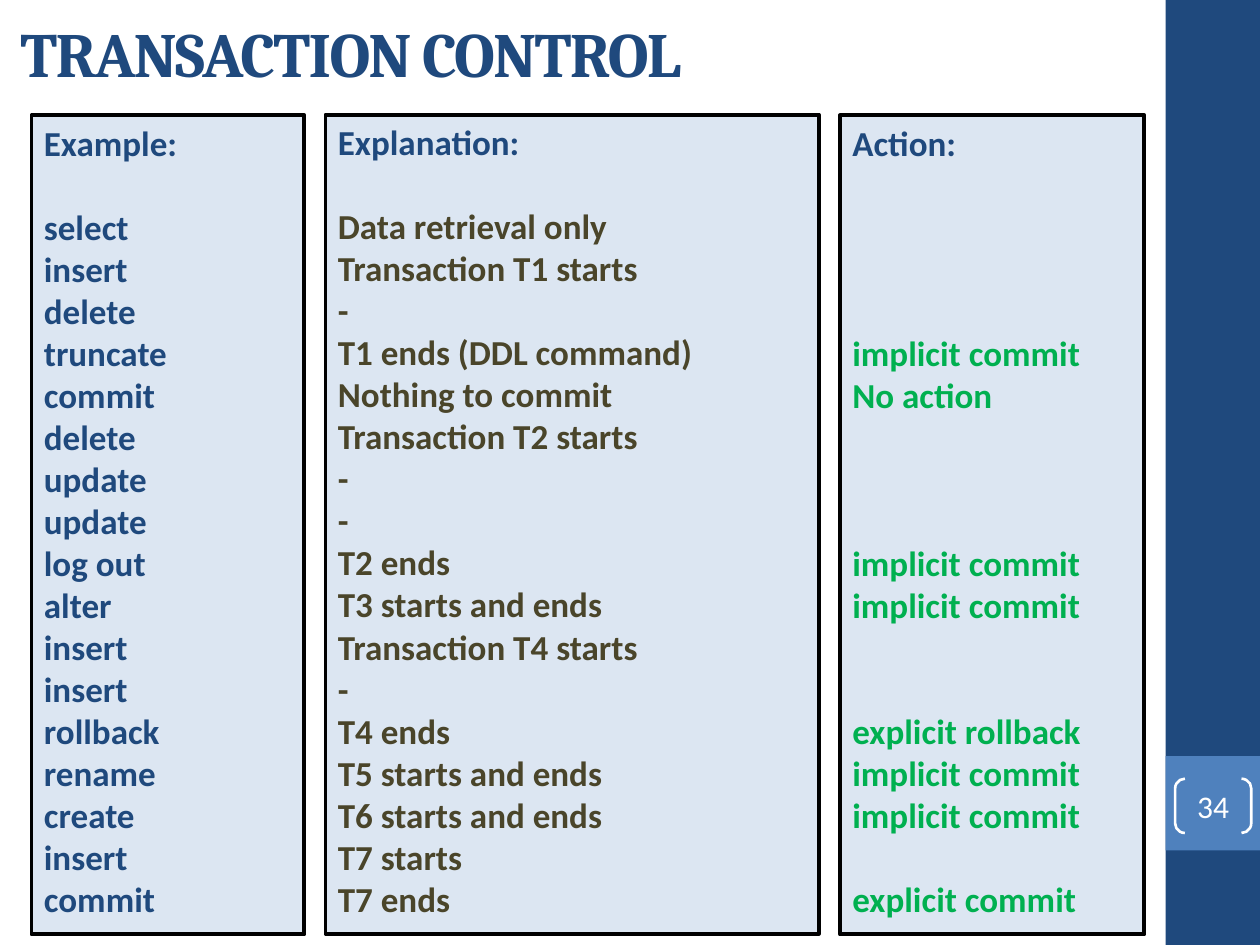
from typing import NamedTuple

from pptx import Presentation
from pptx.dml.color import RGBColor
from pptx.enum.shapes import MSO_SHAPE
from pptx.enum.text import MSO_ANCHOR, MSO_AUTO_SIZE, PP_ALIGN
from pptx.util import Pt

RECTANGLE = MSO_SHAPE.RECTANGLE
BRACKETS = MSO_SHAPE.DOUBLE_BRACKET
LEFT, CENTER = PP_ALIGN.LEFT, PP_ALIGN.CENTER
TOP, MIDDLE = MSO_ANCHOR.TOP, MSO_ANCHOR.MIDDLE
FIXED_SIZE = MSO_AUTO_SIZE.NONE

NAVY = RGBColor(0x1F, 0x49, 0x7D)
BLUE = RGBColor(0x4F, 0x81, 0xBD)
PALE_BLUE = RGBColor(0xDC, 0xE6, 0xF2)
OLIVE = RGBColor(0x4A, 0x45, 0x2A)
GREEN = RGBColor(0x00, 0xB0, 0x50)
BLACK = RGBColor(0, 0, 0)
WHITE = RGBColor(0xFF, 0xFF, 0xFF)

ROW_PITCH = 24  # points from one row to the next


class Frame(NamedTuple):
    left: float
    top: float
    width: float
    height: float


class Step(NamedTuple):
    command: str
    explanation: str
    action: str = ""


class Column(NamedTuple):
    heading: str
    entries: list[str]
    color: RGBColor
    frame: Frame


STEPS = [
    Step("select", "Data retrieval only"),
    Step("insert", "Transaction T1 starts"),
    Step("delete", "-"),
    Step("truncate", "T1 ends (DDL command)", "implicit commit"),
    Step("commit", "Nothing to commit", "No action"),
    Step("delete", "Transaction T2 starts"),
    Step("update", "-"),
    Step("update", "-"),
    Step("log out", "T2 ends", "implicit commit"),
    Step("alter", "T3 starts and ends", "implicit commit"),
    Step("insert", "Transaction T4 starts"),
    Step("insert", "-"),
    Step("rollback", "T4 ends", "explicit rollback"),
    Step("rename", "T5 starts and ends", "implicit commit"),
    Step("create", "T6 starts and ends", "implicit commit"),
    Step("insert", "T7 starts"),
    Step("commit", "T7 ends", "explicit commit"),
]

COLUMNS = [
    Column("Example:", [step.command for step in STEPS], NAVY,
           Frame(18, 66, 156, 468)),
    Column("Explanation:", [step.explanation for step in STEPS], OLIVE,
           Frame(186, 65.5, 282, 468)),
    Column("Action:", [step.action for step in STEPS], GREEN,
           Frame(480, 66, 174, 468)),
]


def add_box(page, kind, frame: Frame, fill=None, line=None, weight=0.0):
    box = page.shapes.add_shape(kind, *map(Pt, frame))
    box.shadow.inherit = False
    if fill is None:
        box.fill.background()
    else:
        box.fill.solid()
        box.fill.fore_color.rgb = fill
    if line is None:
        box.line.fill.background()
    else:
        box.line.color.rgb = line
        box.line.width = Pt(weight)
    return box


def add_span(para, text: str, size: float, color: RGBColor,
             bold: bool = False, font: str = "Calibri"):
    span = para.add_run()
    span.text = text
    span.font.name = font
    span.font.size = Pt(size)
    span.font.bold = bold
    span.font.color.rgb = color
    return span


def add_title(page, text: str) -> None:
    title = page.shapes.title
    title.left, title.top, title.width, title.height = map(
        Pt, Frame(4.5, 6, 644.5, 48))
    frame = title.text_frame
    frame.auto_size = FIXED_SIZE
    frame.vertical_anchor = MIDDLE
    para = frame.paragraphs[0]
    para.alignment = LEFT
    span = add_span(para, text, 36, NAVY, True, "Cambria")
    span._r.get_or_add_rPr().set("spc", "-100")  # tighter letters


def add_column(page, column: Column) -> None:
    box = add_box(page, RECTANGLE, column.frame, PALE_BLUE, BLACK, 2.25)
    frame = box.text_frame
    frame.word_wrap = True
    frame.vertical_anchor = TOP
    para = frame.paragraphs[0]
    para.alignment = LEFT
    add_span(para, column.heading, 20, NAVY, True)
    skipped = 1  # one row stays free below the heading
    for entry in column.entries:
        if not entry:
            skipped += 1
            continue
        para = frame.add_paragraph()
        para.alignment = LEFT
        para.space_before = Pt(skipped * ROW_PITCH)
        add_span(para, entry, 20, column.color, True)
        skipped = 0


def add_sidebar(page, number: str) -> None:
    add_box(page, RECTANGLE, Frame(666, 0, 54, 540), NAVY)
    add_box(page, RECTANGLE, Frame(666, 432, 54, 54), BLUE)
    badge = add_box(page, BRACKETS, Frame(671.5, 445, 43.5, 31),
                    line=WHITE, weight=1.5)
    badge.adjustments[0] = 0.18
    frame = badge.text_frame
    frame.margin_left = frame.margin_right = Pt(0)
    frame.margin_top = frame.margin_bottom = Pt(0)
    frame.vertical_anchor = MIDDLE
    para = frame.paragraphs[0]
    para.alignment = CENTER
    add_span(para, number, 18, WHITE)


def main() -> None:
    deck = Presentation()
    deck.slide_width, deck.slide_height = Pt(720), Pt(540)
    page = deck.slides.add_slide(deck.slide_layouts[5])  # title only

    # Page number strip, heading, then the three lists
    add_sidebar(page, "34")
    add_title(page, "TRANSACTION CONTROL")
    for column in COLUMNS:
        add_column(page, column)

    deck.save("out.pptx")


if __name__ == "__main__":
    main()
